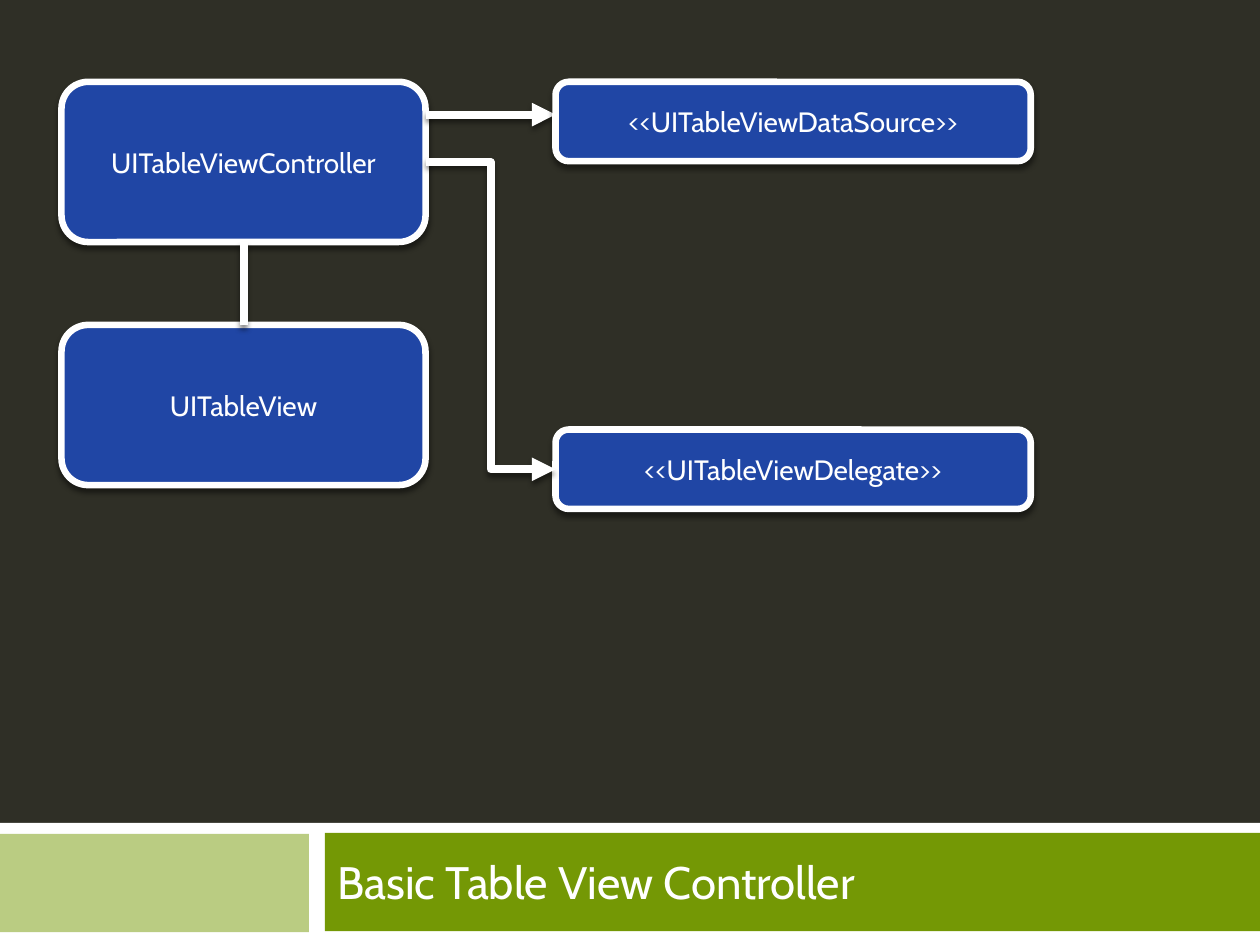
from lxml.etree import SubElement
from pptx import Presentation
from pptx.dml.color import RGBColor
from pptx.enum.shapes import MSO_CONNECTOR, MSO_SHAPE
from pptx.enum.text import MSO_ANCHOR, PP_ALIGN
from pptx.oxml.ns import qn
from pptx.util import Cm, Pt

RECT = MSO_SHAPE.RECTANGLE
ROUND = MSO_SHAPE.ROUNDED_RECTANGLE
LINE = MSO_CONNECTOR.STRAIGHT
BENT = MSO_CONNECTOR.ELBOW
MIDDLE = MSO_ANCHOR.MIDDLE
LEFT, CENTER = PP_ALIGN.LEFT, PP_ALIGN.CENTER
TOP_SITE, LEFT_SITE, BOTTOM_SITE, RIGHT_SITE = range(4)

COLORS = {"back": "2F2F26", "white": "FFFFFF", "pale": "BACC82",
          "green": "749805", "blue": "2046A5", "shade": "000000"}


def color(name):
    return RGBColor.from_string(COLORS[name])


def write(frame, text, size=16, align=CENTER, before=0, font="Cabin"):
    frame.word_wrap = True
    frame.vertical_anchor = MIDDLE
    para = frame.paragraphs[0]
    para.alignment = align
    para.space_before = Pt(before)
    run = para.add_run()
    run.text = text
    run.font.name = font
    run.font.size = Pt(size)
    run.font.color.rgb = color("white")


def shade(shape):
    """Add a soft shadow that falls straight down."""
    effects = SubElement(shape._element.spPr, qn("a:effectLst"))
    outer = SubElement(effects, qn("a:outerShdw"), blurRad=str(Pt(3)),
                       dist=str(Pt(2.4)), dir="5400000", rotWithShape="0")
    tint = SubElement(outer, qn("a:srgbClr"), val=COLORS["shade"])
    SubElement(tint, qn("a:alpha"), val="45000")


class Board:
    """Holds the slide and the style of its parts."""
    edge = 3.75
    stroke = 4.5

    def __init__(self, slide):
        self.slide = slide
        self.shapes = slide.shapes
        fill = slide.background.fill
        fill.solid()
        fill.fore_color.rgb = color("back")

    def band(self, x, y, w, h, tint):
        shape = self.shapes.add_shape(RECT, Cm(x), Cm(y), Cm(w), Cm(h))
        shape.shadow.inherit = False
        shape.fill.solid()
        shape.fill.fore_color.rgb = color(tint)
        shape.line.fill.background()

    def title(self, text, x, y, w, h):
        box = self.shapes.add_textbox(Cm(x), Cm(y), Cm(w), Cm(h))
        write(box.text_frame, text, size=26, align=LEFT, before=7)

    def node(self, text, x, y, w, h):
        shape = self.shapes.add_shape(ROUND, Cm(x), Cm(y), Cm(w), Cm(h))
        shape.fill.solid()
        shape.fill.fore_color.rgb = color("blue")
        shape.line.color.rgb = color("white")
        shape.line.width = Pt(self.edge)
        shade(shape)
        write(shape.text_frame, text)
        return shape

    def link(self, start, end, kind=LINE, arrow=True):
        """Draw a line between two (x, y) points in slide units."""
        line = self.shapes.add_connector(kind, *start, *end)
        line.line.color.rgb = color("white")
        line.line.width = Pt(self.stroke)
        if arrow:
            SubElement(line.line._get_or_add_ln(), qn("a:tailEnd"),
                       type="triangle")
        shade(line)
        return line

    def join(self, first, site, last, goal, **style):
        """Link two nodes and glue the ends to their connection sites."""
        line = self.link((0, 0), (0, 0), **style)
        line.begin_connect(first, site)
        line.end_connect(last, goal)


def main():
    deck = Presentation()
    deck.slide_width, deck.slide_height = Cm(25.4), Cm(19.05)
    board = Board(deck.slides.add_slide(deck.slide_layouts[6]))

    board.band(0, 16.59, 25.4, 2.46, "white")
    board.band(-0.02, 16.81, 6.25, 1.98, "pale")
    board.band(6.55, 16.79, 18.85, 1.98, "green")
    board.title("Basic Table View Controller", 6.55, 16.81, 18.62, 1.9)

    top, left, right = 1.65, 1.24, 11.2
    big, small = (7.34, 3.23), (9.58, 1.6)
    control = board.node("UITableViewController", left, top, *big)
    view = board.node("UITableView", left, 6.55, *big)

    level = Cm(2.31)
    board.link((control.left + control.width, level), (Cm(right), level))
    board.join(control, BOTTOM_SITE, view, TOP_SITE, arrow=False)

    board.node("<<UITableViewDataSource>>", right, top, *small)
    helper = board.node("<<UITableViewDelegate>>", right, 8.66, *small)
    board.join(control, RIGHT_SITE, helper, LEFT_SITE, kind=BENT)

    deck.save("out.pptx")


if __name__ == "__main__":
    main()
